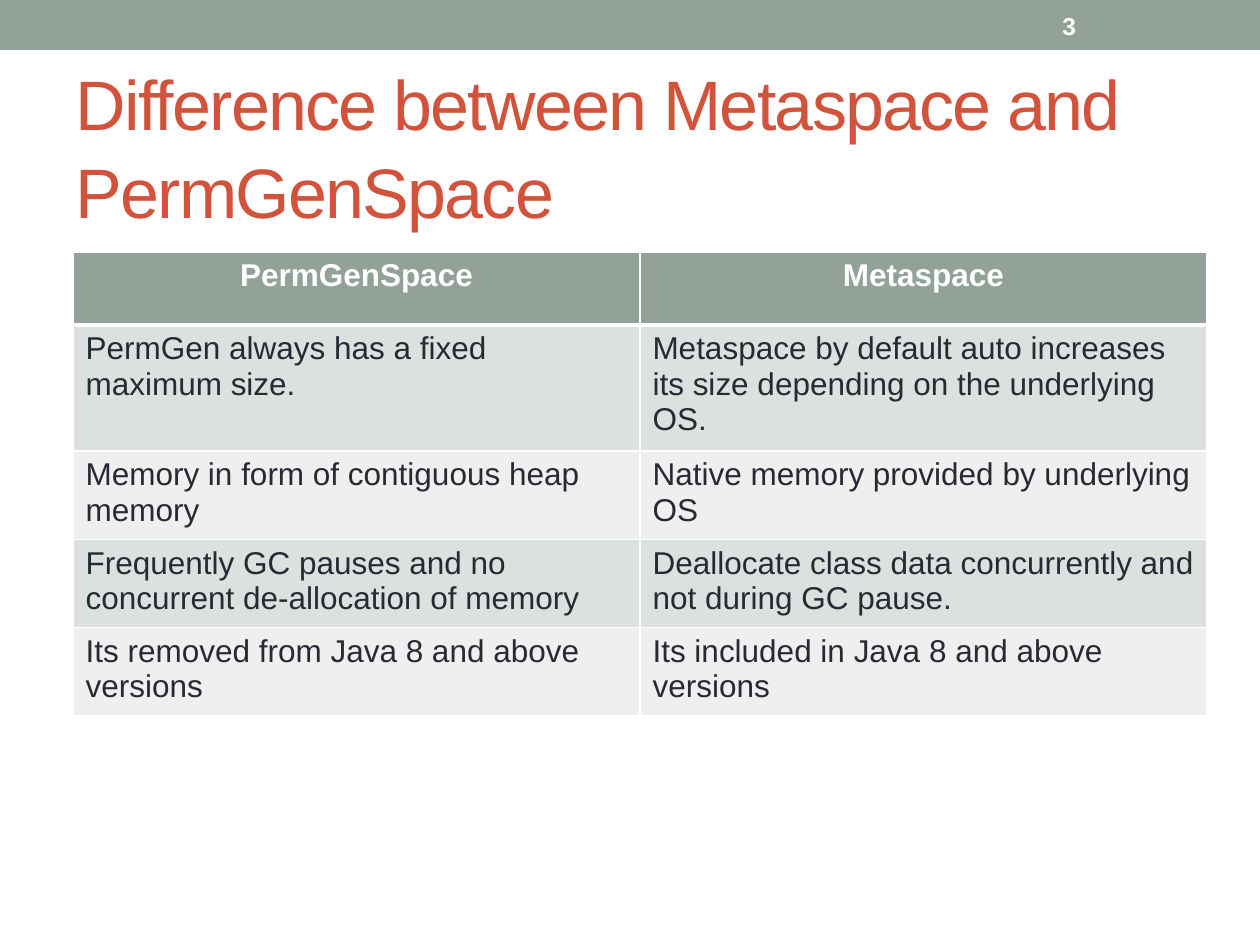
from lxml import etree
from pptx import Presentation
from pptx import util as u
from pptx.dml.color import RGBColor
from pptx.enum import shapes, text
from pptx.oxml.ns import qn

PX = 914400 // 126
FONT = "Arial"
COLORS = {"sage": "93A299", "red": "D2533C", "ink": "292934",
          "white": "FFFFFF", "band": "DCE0DE", "light": "EEF0EF"}
HEADER = ("PermGenSpace", "Metaspace")
ROWS = [
    ("PermGen always has a fixed maximum size.",
     "Metaspace by default auto increases its size depending on the underlying OS."),
    ("Memory in form of contiguous heap memory",
     "Native memory provided by underlying OS"),
    ("Frequently GC pauses and no concurrent de-allocation of memory",
     "Deallocate class data concurrently and not during GC pause."),
    ("Its removed from Java 8 and above versions",
     "Its included in Java 8 and above versions"),
]
ROW_HEIGHTS = (73, 118, 83, 83, 83)


def emu(*lengths):
    return [u.Emu(v * PX) for v in lengths]


def rgb(name):
    return RGBColor.from_string(COLORS[name])


def paint(shape_or_cell, name):
    shape_or_cell.fill.solid()
    shape_or_cell.fill.fore_color.rgb = rgb(name)


def style(p, size, color, bold=False, align=text.PP_ALIGN.LEFT):
    p.alignment = align
    p.font.name, p.font.size, p.font.bold = FONT, u.Pt(size), bold
    p.font.color.rgb = rgb(color)


def add_border(cell, side, points):
    ln = etree.Element(qn("a:ln" + side), w=str(u.Pt(points)))
    fill = etree.SubElement(ln, qn("a:solidFill"))
    etree.SubElement(fill, qn("a:srgbClr"), val=COLORS["white"])
    return ln


def set_borders(cell, top, bottom):
    widths = {"L": 1, "R": 1, "T": top, "B": bottom}
    tcPr = cell._tc.get_or_add_tcPr()
    for i, (side, points) in enumerate(widths.items()):
        tcPr.insert(i, add_border(cell, side, points))


def top_bar(s, x, y, w, h):
    bar = s.shapes.add_shape(shapes.MSO_SHAPE.RECTANGLE, *emu(x, y, w, h))
    bar.shadow.inherit = False
    paint(bar, "sage")
    bar.line.fill.background()
    # Slide number
    sp = s.shapes.add_textbox(*emu(x + 1050, y + 3, 147, 45))
    tf = sp.text_frame
    tf.word_wrap = True
    tf.vertical_anchor = text.MSO_ANCHOR.MIDDLE
    tf.text = "3"
    style(tf.paragraphs[0], 14, "white", bold=True)


def title(s, x, y, w, h):
    sp = s.shapes.title
    sp.left, sp.top, sp.width, sp.height = emu(x, y, w, h)
    tf = sp.text_frame
    tf.text = "Difference between Metaspace and PermGenSpace"
    tf.word_wrap = True
    tf.auto_size = text.MSO_AUTO_SIZE.NONE
    tf.vertical_anchor = text.MSO_ANCHOR.MIDDLE
    p = tf.paragraphs[0]
    style(p, 40, "red")
    p.line_spacing = 1.05
    p.runs[0].font._element.set("spc", "-100")


def comparison_table(s, x, y, w):
    frame = s.shapes.add_table(len(ROW_HEIGHTS), len(HEADER),
                               *emu(x, y, w, sum(ROW_HEIGHTS)))
    table = frame.table
    for row, height in zip(table.rows, ROW_HEIGHTS):
        row.height = emu(height)[0]
    for i, row in enumerate([HEADER] + ROWS):
        for j, words in enumerate(row):
            cell = table.cell(i, j)
            cell.text = words
            p = cell.text_frame.paragraphs[0]
            if i == 0:
                style(p, 18, "white", True, text.PP_ALIGN.CENTER)
                paint(cell, "sage")
            else:
                style(p, 18, "ink")
                paint(cell, "band" if i % 2 else "light")
            set_borders(cell, top=3 if i == 1 else 1, bottom=3 if i == 0 else 1)


prs = Presentation()
prs.slide_width, prs.slide_height = emu(1260, 945)
s = prs.slides.add_slide(prs.slide_layouts[5])
top_bar(s, 0, 0, 1260, 50)
title(s, 63, 76, 1134, 136)
comparison_table(s, 73, 252, 1134)
prs.save("out.pptx")
